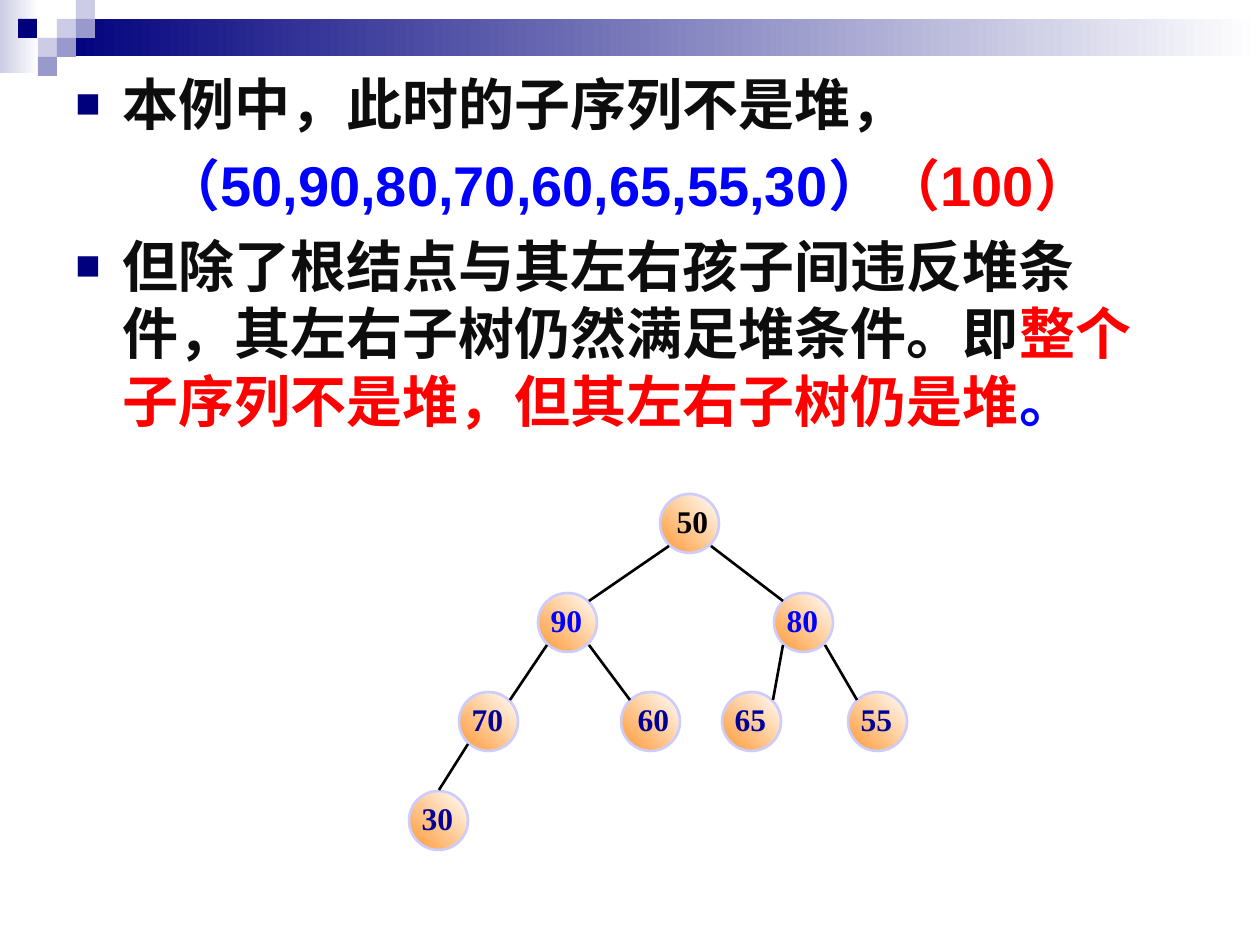
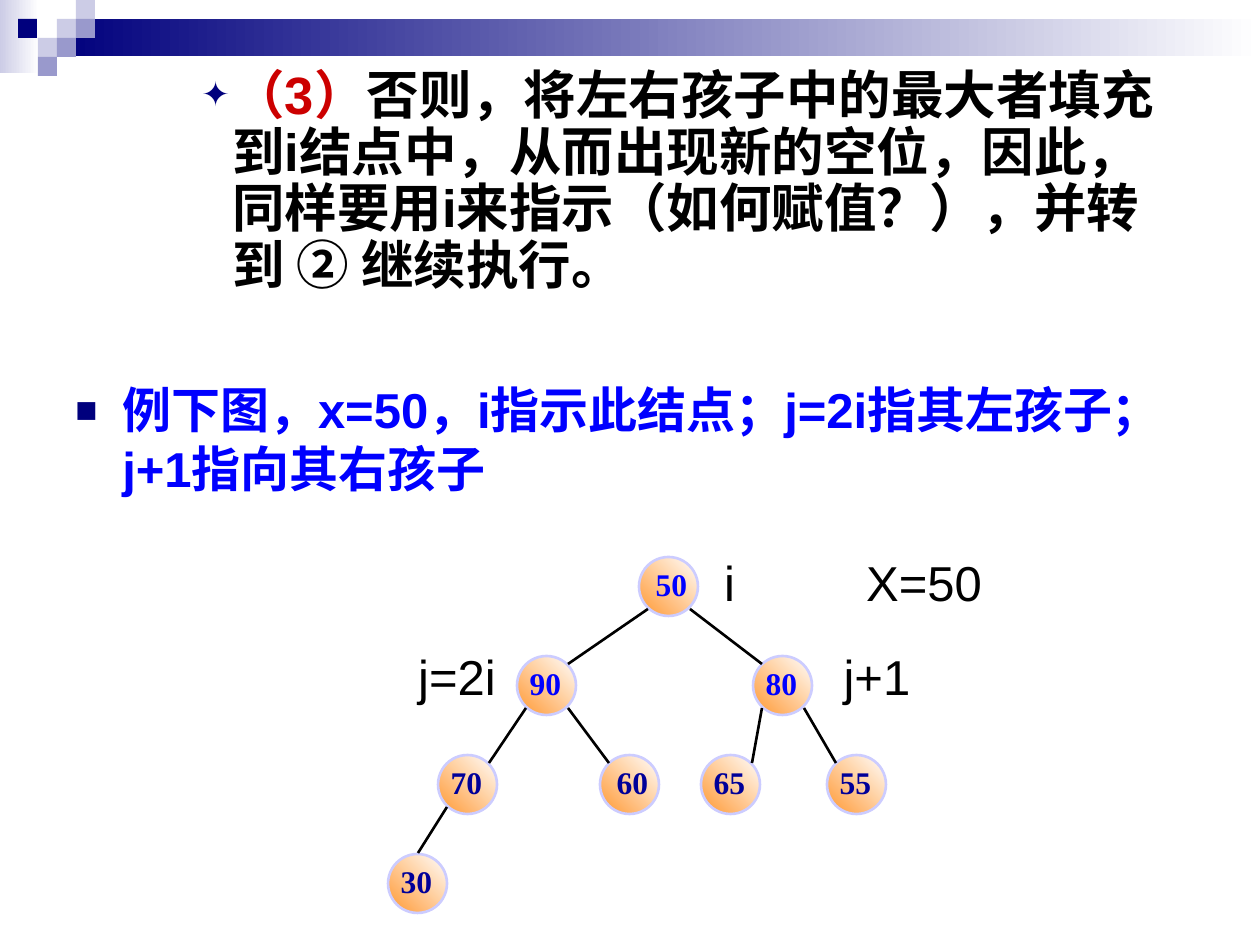
from lxml import etree
from pptx import Presentation
from pptx.dml.color import RGBColor
from pptx.enum.lang import MSO_LANGUAGE_ID
from pptx.enum.shapes import MSO_CONNECTOR, MSO_SHAPE
from pptx.enum.text import MSO_ANCHOR, PP_ALIGN
from pptx.oxml.ns import qn
from pptx.util import Pt

RECTANGLE, CIRCLE = MSO_SHAPE.RECTANGLE, MSO_SHAPE.OVAL
STRAIGHT = MSO_CONNECTOR.STRAIGHT
CENTER, MIDDLE = PP_ALIGN.CENTER, MSO_ANCHOR.MIDDLE
CHINESE = MSO_LANGUAGE_ID.SIMPLIFIED_CHINESE

PX_PER_INCH = 126
SLIDE_WIDTH, SLIDE_HEIGHT = 1260, 945
COLORS = {
    "navy": "00007D",
    "lavender": "9999CC",
    "pale": "CCCCE6",
    "white": "FFFFFF",
    "black": "000000",
    "ink": "0D0D0D",
    "blue": "0000FF",
    "deep blue": "000099",
    "red": "FF0000",
    "dark red": "CC0000",
    "orange": "FF9933",
    "rim": "CCCCFF",
}
BODY_FONT, NODE_FONT = "Arial", "Times New Roman"

# Header mosaic: column and row of each square, and its colour
SQUARE = 19
MOSAIC_LEFT = 38
MOSAIC = [
    (1, 1, "pale"), (2, 0, "pale"), (2, 1, "lavender"), (0, 2, "pale"),
    (1, 2, "lavender"), (0, 3, "lavender"),
]

# Heap in level order: value, left edge, left text inset
HEAP = [
    ("50", 251, 18),
    ("90", 129, 10), ("80", 365, 10),
    ("70", 50, 10), ("60", 212, 18), ("65", 313, 10), ("55", 439, 10),
    ("30", 0, 10),
]
NODE_SIZE, LEVEL_PITCH = 59, 99
EDGE_NEAR, EDGE_FAR = 9, 51

BODY_BOX = (63, 63, 1134, 882)
# Bullet character, size in percent, left margin, first line indent
SQUARE_BULLET = ("■", 75, 47, -47)
STAR_BULLET = ("✦", 65, 157, -31)
SEQUENCE_INDENT = (None, 0, 47, 42)


def px(length):
    return round(length * 914400 / PX_PER_INCH)


def rgb(name):
    return RGBColor.from_string(COLORS[name])


def add_filled_shape(page, kind, box, *colors, angle=0):
    """Add a shape with a plain fill, or a gradient when two colours are given."""
    shape = page.shapes.add_shape(kind, *map(px, box))
    shape.shadow.inherit = False
    shape.line.fill.background()
    if len(colors) == 1:
        shape.fill.solid()
        shape.fill.fore_color.rgb = rgb(colors[0])
    else:
        shape.fill.gradient()
        shape.fill.gradient_angle = angle
        for stop, color in zip(shape.fill.gradient_stops, colors):
            stop.color.rgb = rgb(color)
    return shape


def format_font(font, name, size, color, bold=True):
    font.name = name
    font.size = Pt(size)
    font.bold = bold
    font.color.rgb = rgb(color)


def add_header(page):
    add_filled_shape(page, RECTANGLE, (0, 0, 39, 73), "pale", "white")
    band_left = MOSAIC_LEFT + SQUARE
    add_filled_shape(page, RECTANGLE,
                     (band_left, SQUARE, SLIDE_WIDTH - band_left, 37),
                     "navy", "white")
    for column, row, color in MOSAIC:
        add_filled_shape(page, RECTANGLE,
                         (MOSAIC_LEFT + column * SQUARE, row * SQUARE,
                          SQUARE, SQUARE), color)
    add_filled_shape(page, RECTANGLE, (18, SQUARE, SQUARE, SQUARE), "navy")


def set_bullet(para, character, percent, margin, indent):
    """Set indents and bullet, and keep punctuation inside the right margin."""
    properties = para._p.get_or_add_pPr()
    properties.set("marL", str(px(margin)))
    properties.set("indent", str(px(indent)))
    properties.set("hangingPunct", "0")
    if character is None:
        return
    color = etree.SubElement(properties, qn("a:buClr"))
    etree.SubElement(color, qn("a:srgbClr"), val=COLORS["navy"])
    etree.SubElement(properties, qn("a:buSzPct"), val=str(percent * 1000))
    etree.SubElement(properties, qn("a:buFont"), typeface=BODY_FONT)
    etree.SubElement(properties, qn("a:buChar"), char=character)


def add_body(page, box, paragraphs):
    """Each paragraph is bullet, size, space before, line spacing, spans."""
    frame = page.shapes.add_textbox(*map(px, box)).text_frame
    frame.word_wrap = True
    for index, (bullet, size, before, spacing, spans) in enumerate(paragraphs):
        para = frame.add_paragraph() if index else frame.paragraphs[0]
        set_bullet(para, *bullet)
        para.space_before = Pt(before)
        para.line_spacing = spacing
        for text, color in spans:
            span = para.add_run()
            span.text = text
            span.font.language_id = CHINESE
            format_font(span.font, BODY_FONT, size, color)


def add_node(page, left, top, value, inset, color):
    node = add_filled_shape(page, CIRCLE, (left, top, NODE_SIZE, NODE_SIZE),
                            "orange", "white", angle=45)
    node.line.color.rgb = rgb("rim")
    node.line.width = Pt(1.5)
    frame = node.text_frame
    frame.word_wrap = False
    frame.vertical_anchor = MIDDLE
    frame.margin_left, frame.margin_right = px(inset), px(12)
    frame.margin_top, frame.margin_bottom = px(1), px(6)
    frame.text = value
    para = frame.paragraphs[0]
    para.alignment = CENTER
    format_font(para.runs[0].font, NODE_FONT, 18, color)


def add_edge(page, start, end):
    edge = page.shapes.add_connector(STRAIGHT, *map(px, start + end))
    edge.line.color.rgb = rgb("black")
    edge.line.width = Pt(1.5)
    etree.SubElement(edge._element.spPr, qn("a:effectLst"))


def add_heap(page, left, top, root_color):
    """Draw the heap; the node numbered n has the children 2n and 2n + 1."""
    level_colors = [root_color, "blue", "deep blue", "deep blue"]
    corners = {}
    for number, (value, offset, inset) in enumerate(HEAP, start=1):
        level = number.bit_length() - 1
        x, y = left + offset, top + level * LEVEL_PITCH
        corners[number] = x, y
        add_node(page, x, y, value, inset, level_colors[level])
        if number == 1:
            continue
        parent_x, parent_y = corners[number // 2]
        leave, arrive = EDGE_NEAR, EDGE_FAR
        if number % 2:
            leave, arrive = arrive, leave
        end = (x + arrive, y + 8) if level < 3 else (x + 30, y - 1)
        add_edge(page, (parent_x + leave, parent_y + 52), end)


def add_pointer_labels(page, left, top):
    """Name the pointers beside the nodes of a heap placed at left, top."""
    labels = [("X=50", 452, -11, 168), ("i", 315, -11, 53),
              ("j=2i", 11, 83, 116), ("j+1", 431, 83, 116)]
    for text, x, y, width in labels:
        box = map(px, (left + x, top + y, width, 72))
        frame = page.shapes.add_textbox(*box).text_frame
        frame.word_wrap = True
        frame.text = text
        para = frame.paragraphs[0]
        para.alignment = CENTER
        format_font(para.runs[0].font, BODY_FONT, 28, "black", bold=False)


def add_page(deck):
    page = deck.slides.add_slide(deck.slide_layouts[6])
    add_header(page)
    return page


def build_broken_heap_slide(deck):
    page = add_page(deck)
    add_body(page, BODY_BOX, [
        (SQUARE_BULLET, 32, 0, 1.0, [("本例中，此时的子序列不是堆，", "ink")]),
        (SEQUENCE_INDENT, 32, 8, 1.0, [
            ("（50,90,80,70,60,65,55,30）", "blue"),
            ("（100）", "red"),
        ]),
        (SQUARE_BULLET, 32, 8, 1.0, [
            ("但除了根结点与其左右孩子间违反堆条件，"
             "其左右子树仍然满足堆条件。即", "ink"),
            ("整个子序列不是堆，但其左右子树仍是堆", "red"),
            ("。", "blue"),
        ]),
    ])
    add_heap(page, 409, 494, "black")


def build_sift_step_slide(deck):
    page = add_page(deck)
    add_body(page, BODY_BOX, [
        (STAR_BULLET, 30, 0, 0.9, [
            ("（3）", "dark red"),
            ("否则，将左右孩子中的最大者填充到i结点中，从而出现新的空位，因此，"
             "同样要用i来指示（如何赋值？），并转到 ② 继续执行。", "black"),
        ]),
        (SQUARE_BULLET, 28, 48, 1.0, [
            ("例下图，x=50，i指示此结点；j=2i指其左孩子；j+1指向其右孩子", "blue"),
        ]),
    ])
    heap_corner = (388, 557)
    add_heap(page, *heap_corner, "blue")
    add_pointer_labels(page, *heap_corner)


def main():
    deck = Presentation()
    deck.slide_width, deck.slide_height = px(SLIDE_WIDTH), px(SLIDE_HEIGHT)
    build_broken_heap_slide(deck)
    build_sift_step_slide(deck)
    deck.save("out.pptx")


if __name__ == "__main__":
    main()
